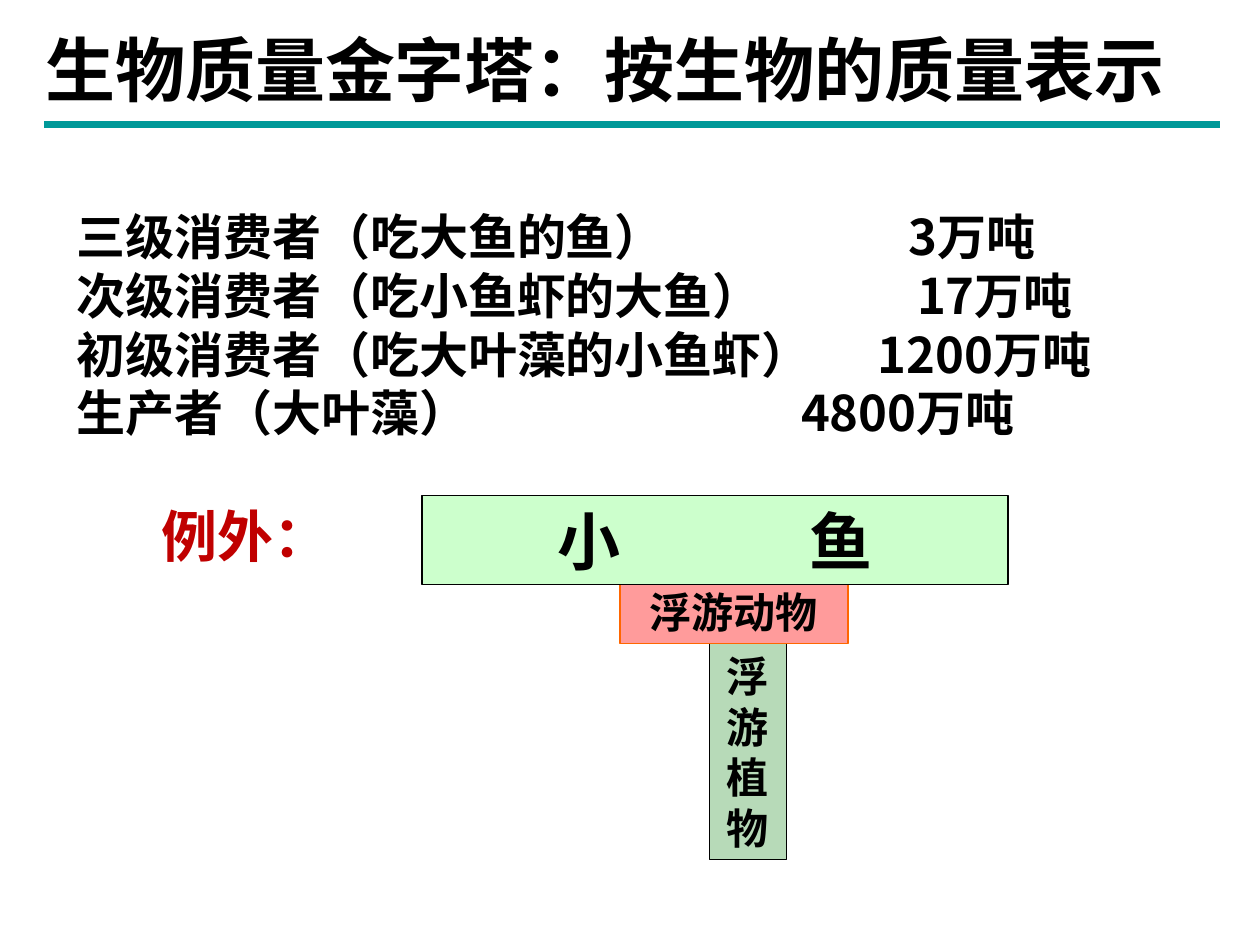
from dataclasses import dataclass

from lxml.etree import SubElement
from pptx import Presentation
from pptx.dml.color import RGBColor
from pptx.enum.shapes import MSO_CONNECTOR, MSO_SHAPE
from pptx.enum.text import MSO_ANCHOR, PP_ALIGN
from pptx.oxml.ns import qn
from pptx.util import Inches, Pt

COLUMNS, ROWS = 100, 75
WIDTH, HEIGHT = Inches(10), Inches(7.5)


@dataclass(frozen=True)
class Theme:
    font: str = "Noto Sans CJK SC"
    line_pitch: float = 1.2
    title_size: int = 40
    body_size: int = 28
    exception_size: int = 32
    large_label: int = 36
    small_label: int = 24
    ink: str = "000000"
    accent: str = "C00000"
    rule: str = "009999"
    fish: str = "CCFFCC"
    animal: str = "FF9B9B"
    animal_edge: str = "FF6600"
    plant: str = "B7DAB8"


THEME = Theme()


def column(count):
    return round(WIDTH * count / COLUMNS)


def row(count):
    return round(HEIGHT * count / ROWS)


def grid_box(left, top, width, height):
    return column(left), row(top), column(width), row(height)


def color(value):
    return RGBColor.from_string(value)


def add_tab_stop(paragraph, position):
    """Set a left tab stop, in columns from the start of the text."""
    tabs = SubElement(paragraph._p.get_or_add_pPr(), qn("a:tabLst"))
    SubElement(tabs, qn("a:tab"), pos=str(column(position)), algn="l")


def write(paragraph, text, size, ink=THEME.ink, align=PP_ALIGN.LEFT, tab=None):
    paragraph.alignment = align
    paragraph.line_spacing = Pt(size * THEME.line_pitch)
    if tab:
        add_tab_stop(paragraph, tab)
    run = paragraph.add_run()
    run.text = text
    run.font.size = Pt(size)
    run.font.bold = True
    run.font.name = THEME.font
    run.font.color.rgb = color(ink)
    SubElement(run._r.get_or_add_rPr(), qn("a:ea"), typeface=THEME.font)


def add_text_box(slide, box, anchor=MSO_ANCHOR.MIDDLE):
    frame = slide.shapes.add_textbox(*grid_box(*box)).text_frame
    frame.word_wrap = True
    frame.vertical_anchor = anchor
    return frame


def add_title(slide, text):
    frame = add_text_box(slide, (2, 1.9, 94.5, 7.1))
    frame.margin_left = column(1.6)
    write(frame.paragraphs[0], text, THEME.title_size)
    line = slide.shapes.add_connector(
        MSO_CONNECTOR.STRAIGHT, column(3.5), row(9.9), column(96.8), row(9.9))
    line.line.color.rgb = color(THEME.rule)
    line.line.width = Pt(4)
    SubElement(line._element.spPr, qn("a:effectLst"))


def add_masses(slide, levels):
    """List each feeding level with its mass at that line's tab stop."""
    frame = add_text_box(slide, (5.1, 15.9, 88.2, 24.6), MSO_ANCHOR.TOP)
    for index, (level, mass, tab) in enumerate(levels):
        paragraph = frame.add_paragraph() if index else frame.paragraphs[0]
        write(paragraph, f"{level}\t{mass}", THEME.body_size, tab=tab)


def add_block(slide, box, fill, edge):
    block = slide.shapes.add_shape(MSO_SHAPE.RECTANGLE, *grid_box(*box))
    block.shadow.inherit = False
    block.fill.solid()
    block.fill.fore_color.rgb = color(fill)
    block.line.color.rgb = color(edge)
    block.line.width = Pt(0.75)
    frame = block.text_frame
    frame.word_wrap = True
    frame.vertical_anchor = MSO_ANCHOR.MIDDLE
    return frame


def add_inverted_pyramid(slide):
    small_blocks = [
        ("浮游植物", (56.3, 51.1, 6.1, 17.1), THEME.plant, THEME.ink),
        ("浮游动物", (49.2, 46, 18.1, 5.1), THEME.animal, THEME.animal_edge),
    ]
    for text, box, fill, edge in small_blocks:
        frame = add_block(slide, box, fill, edge)
        write(frame.paragraphs[0], text, THEME.small_label, align=PP_ALIGN.CENTER)
    fish = add_block(slide, (33.5, 39.3, 46.5, 7.1), THEME.fish, THEME.ink)
    fish.margin_left = column(10.75)
    write(fish.paragraphs[0], "小\t鱼", THEME.large_label, tab=20)


def main():
    presentation = Presentation()
    presentation.slide_width, presentation.slide_height = WIDTH, HEIGHT
    slide = presentation.slides.add_slide(presentation.slide_layouts[6])
    add_title(slide, "生物质量金字塔：按生物的质量表示")
    add_masses(slide, [
        ("三级消费者（吃大鱼的鱼）", "3万吨", 66),
        ("次级消费者（吃小鱼虾的大鱼）", "17万吨", 66.7),
        ("初级消费者（吃大叶藻的小鱼虾）", "1200万吨", 63.6),
        ("生产者（大叶藻）", "4800万吨", 57.5),
    ])
    add_inverted_pyramid(slide)
    exception = add_text_box(slide, (11.8, 39.3, 19.7, 6.4))
    write(exception.paragraphs[0], "例外：", THEME.exception_size, THEME.accent)
    presentation.save("out.pptx")


if __name__ == "__main__":
    main()
